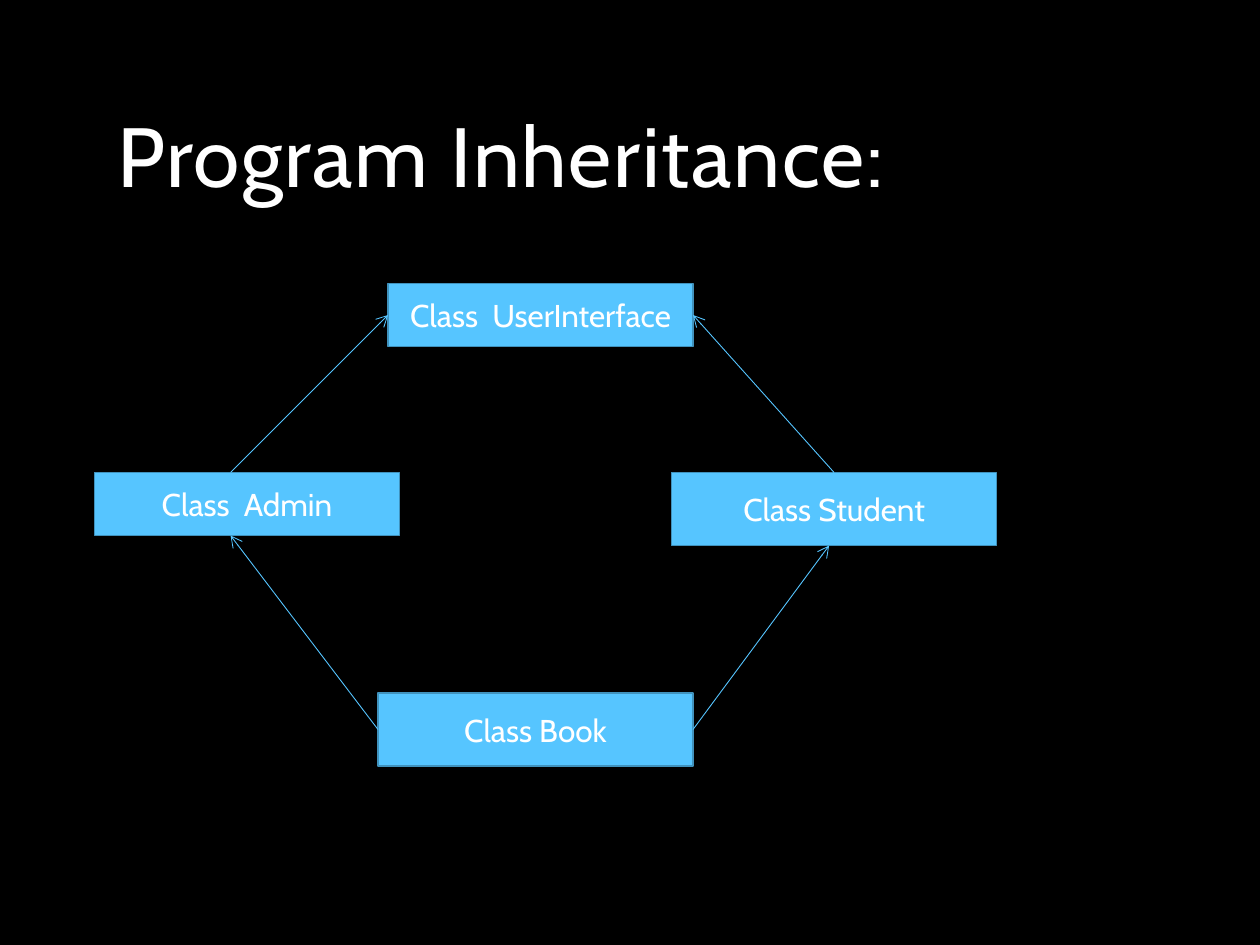
from lxml.etree import SubElement
from pptx import Presentation
from pptx.dml.color import RGBColor
from pptx.enum.shapes import MSO_CONNECTOR, MSO_SHAPE
from pptx.enum.text import MSO_ANCHOR, MSO_AUTO_SIZE, PP_ALIGN
from pptx.oxml.ns import qn
from pptx.util import Inches, Pt

BLACK = RGBColor(0x00, 0x00, 0x00)
WHITE = RGBColor(0xFF, 0xFF, 0xFF)
BLUE = RGBColor(0x56, 0xC5, 0xFF)
EDGE = RGBColor(0x40, 0x92, 0xBD)
FONT = "Cabin"

# Left, top, width and height inside the diagram
NODES = {
    "Class  UserInterface": (2.33, 0, 2.42, 0.5),
    "Class  Admin": (0, 1.5, 2.42, 0.5),
    "Class Student": (4.58, 1.5, 2.58, 0.58),
    "Class Book": (2.25, 3.25, 2.5, 0.58),
}
# Start and end inside the diagram, from child to parent
LINKS = [
    ((4.75, 3.54), (5.83, 2.08)),
    ((2.25, 3.54), (1.08, 2)),
    ((1.08, 1.5), (2.33, 0.25)),
    ((5.87, 1.5), (4.75, 0.25)),
]


def add_run(para, text, size):
    """Add a white run to a paragraph."""
    run = para.add_run()
    run.text = text
    run.font.name = FONT
    run.font.size = Pt(size)
    run.font.color.rgb = WHITE
    return run


def set_title(slide, text, left, top, width, height):
    """Place and format the title."""
    title = slide.shapes.title
    title.left, title.top = Inches(left), Inches(top)
    title.width, title.height = Inches(width), Inches(height)
    frame = title.text_frame
    frame.word_wrap = True
    frame.auto_size = MSO_AUTO_SIZE.NONE
    frame.vertical_anchor = MSO_ANCHOR.BOTTOM
    para = frame.paragraphs[0]
    para.alignment = PP_ALIGN.LEFT
    para.line_spacing = 0.8
    run = add_run(para, text, 48)
    run.font._element.set("spc", "100")


def add_node(slide, text, left, top, width, height):
    """Draw one class box."""
    node = slide.shapes.add_shape(
        MSO_SHAPE.RECTANGLE,
        Inches(left), Inches(top), Inches(width), Inches(height))
    node.shadow.inherit = False
    node.fill.solid()
    node.fill.fore_color.rgb = BLUE
    node.line.color.rgb = EDGE
    node.line.width = Pt(1)
    frame = node.text_frame
    frame.word_wrap = True
    frame.vertical_anchor = MSO_ANCHOR.MIDDLE
    para = frame.paragraphs[0]
    para.alignment = PP_ALIGN.CENTER
    add_run(para, text, 18)


def add_link(slide, x1, y1, x2, y2):
    """Draw an arrow from a child to its parent."""
    link = slide.shapes.add_connector(
        MSO_CONNECTOR.STRAIGHT,
        Inches(x1), Inches(y1), Inches(x2), Inches(y2))
    link.line.color.rgb = BLUE
    link.line.width = Pt(0.5)
    SubElement(link.line._get_or_add_ln(), qn("a:tailEnd"), type="arrow")
    SubElement(link._element.spPr, qn("a:effectLst"))


def add_tree(slide, left, top):
    """Draw the class diagram with its corner at left, top."""
    for text, (x, y, width, height) in NODES.items():
        add_node(slide, text, left + x, top + y, width, height)
    for (x1, y1), (x2, y2) in LINKS:
        add_link(slide, left + x1, top + y1, left + x2, top + y2)


def main():
    """Build and save the slide."""
    deck = Presentation()
    deck.slide_width, deck.slide_height = Inches(10), Inches(7.5)
    slide = deck.slides.add_slide(deck.slide_layouts[5])
    slide.background.fill.solid()
    slide.background.fill.fore_color.rgb = BLACK
    set_title(slide, "Program Inheritance:", 0.83, 0.75, 7.13, 0.92)
    add_tree(slide, 0.75, 2.25)
    deck.save("out.pptx")


main()
